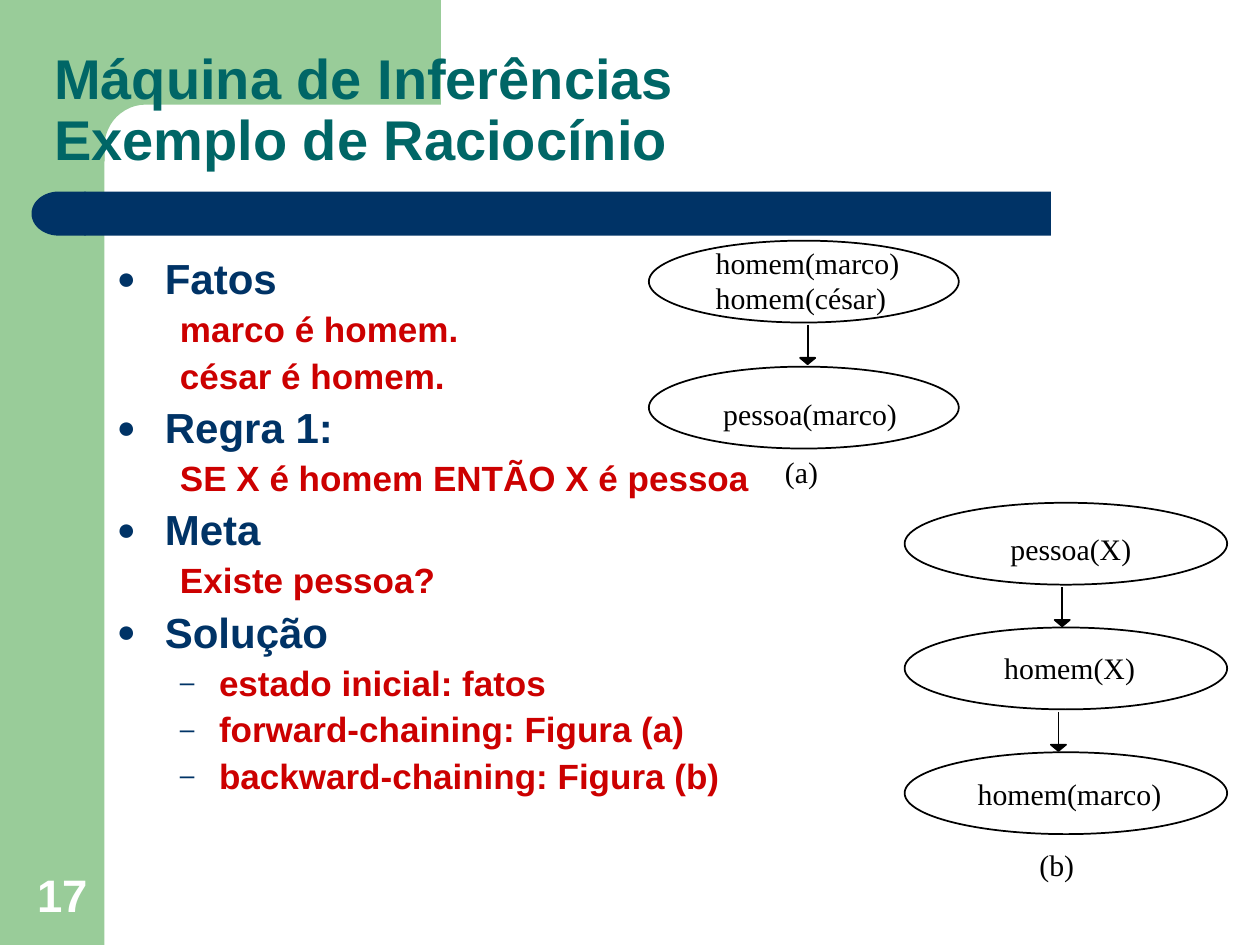
from math import cos, pi, sin

from lxml.etree import SubElement
from pptx import Presentation
from pptx.dml.color import RGBColor
from pptx.enum.shapes import MSO_CONNECTOR, MSO_SHAPE
from pptx.enum.text import MSO_ANCHOR, MSO_AUTO_SIZE, PP_ALIGN
from pptx.oxml.ns import qn
from pptx.util import Inches, Pt

GREEN = RGBColor(0x99, 0xCC, 0x99)
NAVY = RGBColor(0x00, 0x33, 0x66)
TEAL = RGBColor(0x00, 0x66, 0x66)
RED = RGBColor(0xCC, 0x00, 0x00)
BLACK = RGBColor(0, 0, 0)
WHITE = RGBColor(0xFF, 0xFF, 0xFF)

# Heading, its lines, and the bullet of those lines
TOPICS = [
    ("Fatos", ["marco é homem.", "césar é homem."], None),
    ("Regra 1:", ["SE X é homem ENTÃO X é pessoa"], None),
    ("Meta", ["Existe pessoa?"], None),
    ("Solução", ["estado inicial: fatos", "forward-chaining: Figura (a)",
                 "backward-chaining: Figura (b)"], "–"),
]


def style(sp, fill=None, line=None):
    sp.shadow.inherit = False
    if fill is None:
        sp.fill.background()
    else:
        sp.fill.solid()
        sp.fill.fore_color.rgb = fill
    if line is None:
        sp.line.fill.background()
    else:
        sp.line.color.rgb = line
        sp.line.width = Pt(1)
    return sp


def add_preset(s, kind, x, y, w, h, **look):
    sp = s.shapes.add_shape(kind, Inches(x), Inches(y), Inches(w), Inches(h))
    return style(sp, **look)


def add_outline(s, points, **look):
    """Add a closed polygon through points given in inches."""
    first, *rest = [(Inches(x), Inches(y)) for x, y in points]
    builder = s.shapes.build_freeform(*first)
    builder.add_line_segments(rest, close=True)
    return style(builder.convert_to_shape(), **look)


def set_frame(tf, anchor=MSO_ANCHOR.TOP, margins=(0.1, 0.05), wrap=True):
    tf.word_wrap = wrap
    tf.auto_size = MSO_AUTO_SIZE.NONE
    tf.vertical_anchor = anchor
    tf.margin_left = tf.margin_right = Inches(margins[0])
    tf.margin_top = tf.margin_bottom = Inches(margins[1])


def write(p, text, size, color, font="Arial", bold=True, spacing=1.0, before=0):
    p.text = text
    p.alignment = PP_ALIGN.LEFT
    p.line_spacing = spacing
    p.space_before = Pt(before)
    for r in p.runs:
        r.font.name = font
        r.font.size = Pt(size)
        r.font.bold = bold
        r.font.color.rgb = color


def add_text(s, x, y, w, h, lines, frame, **text_format):
    box = s.shapes.add_textbox(Inches(x), Inches(y), Inches(w), Inches(h))
    tf = box.text_frame
    set_frame(tf, **frame)
    for i, line in enumerate(lines):
        p = tf.add_paragraph() if i else tf.paragraphs[0]
        write(p, line, **text_format)


def set_indent(p, left, first, bullet=None):
    pPr = p._p.get_or_add_pPr()
    pPr.set("marL", str(Inches(left)))
    pPr.set("indent", str(Inches(first)))
    if bullet is None:
        SubElement(pPr, qn("a:buNone"))
        return
    color = SubElement(pPr, qn("a:buClr"))
    SubElement(color, qn("a:srgbClr"), val=str(NAVY))
    SubElement(pPr, qn("a:buSzPct"), val="75000")
    SubElement(pPr, qn("a:buFont"), typeface="Arial")
    SubElement(pPr, qn("a:buChar"), char=bullet)


def add_background(s):
    add_preset(s, MSO_SHAPE.RECTANGLE, 0, 0, 0.83, 7.5, fill=GREEN)
    radius, center = 0.33, 1.16
    corner = [(center - radius * sin(i * pi / 24), center - radius * cos(i * pi / 24))
              for i in range(13)]
    add_outline(s, [(3.5, 0), (3.5, 0.83), *corner, (0.83, 1.28), (0.5, 1.28), (0.5, 0)],
                fill=GREEN)
    add_preset(s, MSO_SHAPE.RECTANGLE, 0.67, 1.52, 7.67, 0.35, fill=NAVY)
    cap = add_preset(s, MSO_SHAPE.FLOWCHART_DELAY, 0.25, 1.52, 0.43, 0.35, fill=NAVY)
    cap.rotation = 180


def add_title(s, text):
    title = s.shapes.title
    s.shapes._spTree.append(title._element)  # in front of the background
    title.left, title.top = Inches(0.33), Inches(0.33)
    title.width, title.height = Inches(9.34), Inches(1.09)
    set_frame(title.text_frame, MSO_ANCHOR.BOTTOM)
    write(title.text_frame.paragraphs[0], text, 32, TEAL, spacing=0.9)


def add_topics(s):
    box = s.shapes.add_textbox(Inches(0.83), Inches(2), Inches(9.08), Inches(4.66))
    tf = box.text_frame
    set_frame(tf)
    p = tf.paragraphs[0]
    for i, (heading, lines, bullet) in enumerate(TOPICS):
        if i:
            p = tf.add_paragraph()
        write(p, heading, 24, NAVY, spacing=0.9, before=6)
        set_indent(p, 0.38, -0.38, "●")
        for line in lines:
            p = tf.add_paragraph()
            p.level = 1
            write(p, line, 20, RED, spacing=0.9, before=5)
            set_indent(p, 0.81, -0.31, bullet)


def add_label(s, x, y, w, *lines):
    add_text(s, x, y, w, 0.15 + 0.28 * len(lines), lines,
             dict(margins=(0.15, 0.07), wrap=False),
             size=17, color=BLACK, font="Times New Roman", bold=False)


def add_arrow(s, x, y):
    """Add a short downward arrow with a flat, wide head."""
    line = s.shapes.add_connector(MSO_CONNECTOR.STRAIGHT, Inches(x), Inches(y),
                                  Inches(x), Inches(y + 0.27))
    line.line.color.rgb = BLACK
    line.line.width = Pt(1)
    SubElement(line._element.spPr, qn("a:effectLst"))
    head = y + 0.26
    add_outline(s, [(x + 0.06, head), (x - 0.06, head), (x, head + 0.05)],
                fill=BLACK, line=BLACK)


def add_ellipses(s, x, y, w, step, count):
    for i in range(count):
        add_preset(s, MSO_SHAPE.OVAL, x, y + i * step, w, 0.65, line=BLACK)


def add_forward_chain(s):
    add_ellipses(s, 5.15, 1.91, 2.46, 1, 2)
    add_label(s, 5.53, 1.87, 1.75, "homem(marco)", "homem(césar)")
    add_label(s, 5.59, 3.07, 1.67, "pessoa(marco)")
    add_arrow(s, 6.41, 2.58)
    add_label(s, 6.08, 3.53, 0.55, "(a)")


def add_backward_chain(s):
    add_ellipses(s, 7.18, 3.99, 2.56, 0.99, 3)
    add_label(s, 7.87, 4.14, 1.24, "pessoa(X)")
    add_label(s, 7.82, 5.09, 1.32, "homem(X)")
    add_label(s, 7.61, 6.09, 1.74, "homem(marco)")
    add_arrow(s, 8.43, 4.66)
    add_arrow(s, 8.4, 5.65)
    add_label(s, 8.1, 6.65, 0.56, "(b)")


def main():
    prs = Presentation()
    prs.slide_width, prs.slide_height = Inches(10), Inches(7.5)
    s = prs.slides.add_slide(prs.slide_layouts[5])
    add_background(s)
    add_text(s, 0.2, 6.83, 0.6, 0.53, ["17"], dict(anchor=MSO_ANCHOR.BOTTOM, wrap=False),
             size=26, color=WHITE)
    add_title(s, "Máquina de Inferências\vExemplo de Raciocínio")
    add_topics(s)
    add_forward_chain(s)
    add_backward_chain(s)
    prs.save("out.pptx")


if __name__ == "__main__":
    main()
